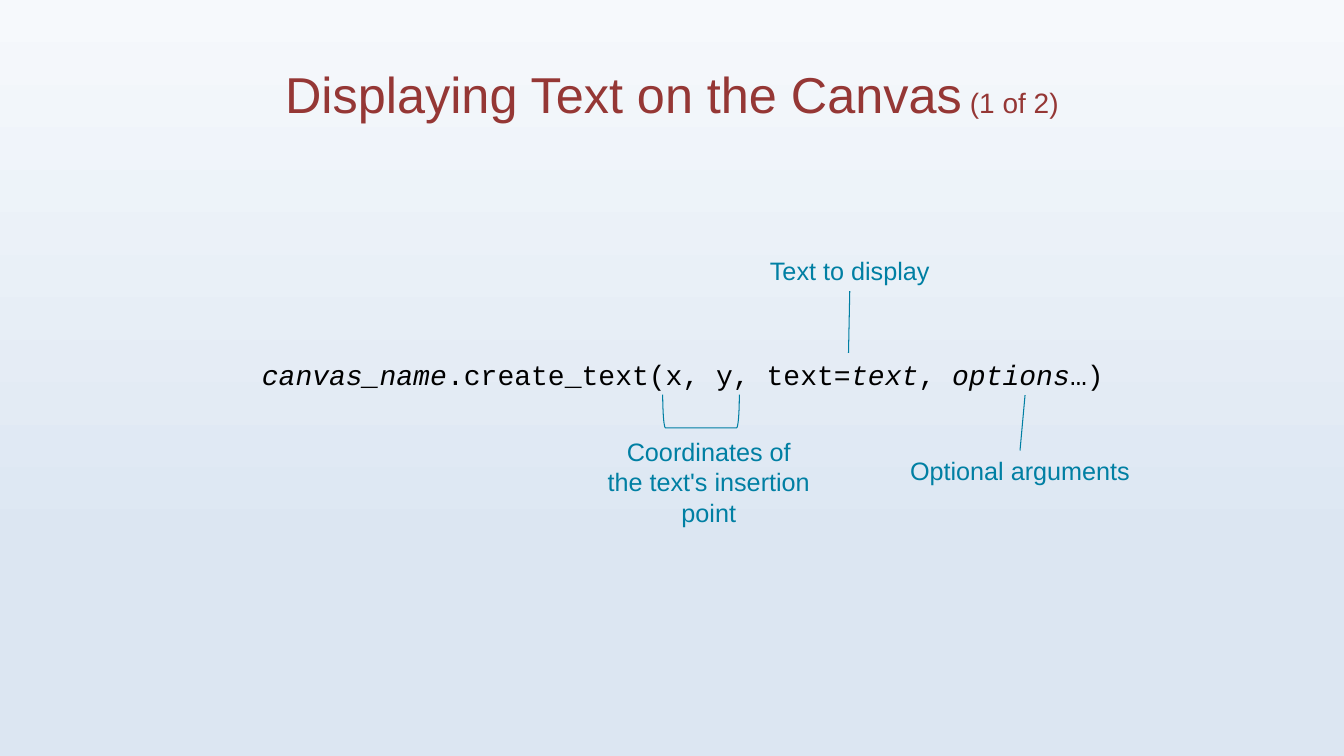
from dataclasses import dataclass

from pptx import Presentation
from pptx.dml.color import RGBColor as Color
from pptx.enum.shapes import MSO_CONNECTOR as Connector, MSO_SHAPE as Shape
from pptx.enum.text import MSO_ANCHOR as Anchor, PP_ALIGN as Align
from pptx.oxml.ns import qn
from pptx.util import Pt

# Content: runs are (text, size) or (text, italic); boxes are left, top, width, height
TITLE = [("Displaying Text on the Canvas", 36), (" (1 of 2)", 20)]
TITLE_BOX = (48, 21.6, 864, 90)
CODE = [
    ("canvas_name", True),
    (".create_text(x, y, text=", False),
    ("text", True),
    (", ", False),
    ("options", True),
    ("…)", False),
]
CODE_BOX = (180, 252, 642, 31.5)
# Each label: lines, box, joined side (0 top, 2 bottom), pointer end
LABELS = [
    (["Coordinates of", "the text's insertion", "point"], (426, 308.2, 160.6, 72.7), None, None),
    (["Text to display"], (542.2, 178.8, 129.6, 29.1), 2, (606.1, 252)),
    (["Optional arguments"], (642.2, 321.8, 172.8, 29.1), 0, (732.2, 282.2)),
]
BRACKET_BOX = (473.4, 281.9, 54.7, 23.8)


@dataclass(frozen=True)
class Theme:
    top: Color = Color.from_string("F6F9FC")
    bottom: Color = Color.from_string("DCE6F2")
    title: Color = Color.from_string("953735")
    code: Color = Color.from_string("000000")
    label: Color = Color.from_string("007FA3")
    sans: str = "Arial"
    mono: str = "Courier New"
    code_size: int = 20
    label_size: int = 18
    line_width: float = 0.75


theme = Theme()


def points(values):
    return [Pt(value) for value in values]


def style_font(paragraph, name, color, size=None):
    font = paragraph.font
    font.name = name
    font.color.rgb = color
    if size:
        font.size = Pt(size)


def style_line(shape):
    shape.line.color.rgb = theme.label
    shape.line.width = Pt(theme.line_width)


def add_label(slide, lines, box):
    label = slide.shapes.add_textbox(*points(box))
    frame = label.text_frame
    frame.word_wrap = False
    frame.text = "\n".join(lines)
    for paragraph in frame.paragraphs:
        paragraph.alignment = Align.CENTER
        style_font(paragraph, theme.sans, theme.label, theme.label_size)
    return label


def add_pointer(slide, label, side, end):
    pointer = slide.shapes.add_connector(Connector.STRAIGHT, 0, 0, *points(end))
    pointer.begin_connect(label, side)
    style_line(pointer)
    properties = pointer._element.spPr
    properties.append(properties.makeelement(qn("a:effectLst"), {}))


def add_bracket(slide, box):
    # The preset opens to the right, so a quarter turn makes it open upwards
    left, top, width, height = box
    shift = (width - height) / 2
    bracket = slide.shapes.add_shape(
        Shape.LEFT_BRACKET, *points((left + shift, top - shift, height, width)))
    bracket.rotation = 270
    bracket.adjustments[0] = 0.083
    bracket.shadow.inherit = False
    bracket.fill.background()
    style_line(bracket)


def main():
    presentation = Presentation()
    presentation.slide_width, presentation.slide_height = Pt(960), Pt(540)
    slide = presentation.slides.add_slide(presentation.slide_layouts[5])

    # Background
    fill = slide.background.fill
    fill.gradient()
    fill.gradient_angle = 270
    stops = zip(fill.gradient_stops, [(0, theme.top), (0.73, theme.bottom)])
    for stop, (position, color) in stops:
        stop.position = position
        stop.color.rgb = color

    # Title
    title = slide.shapes.title
    title.left, title.top, title.width, title.height = points(TITLE_BOX)
    title.text_frame.vertical_anchor = Anchor.MIDDLE
    paragraph = title.text_frame.paragraphs[0]
    paragraph.alignment = Align.CENTER
    style_font(paragraph, theme.sans, theme.title)
    for text, size in TITLE:
        run = paragraph.add_run()
        run.text = text
        run.font.size = Pt(size)

    # Code line
    code = slide.shapes.add_textbox(*points(CODE_BOX))
    code.text_frame.word_wrap = True
    paragraph = code.text_frame.paragraphs[0]
    style_font(paragraph, theme.mono, theme.code, theme.code_size)
    for text, italic in CODE:
        run = paragraph.add_run()
        run.text = text
        run.font.italic = italic

    # Callouts
    add_bracket(slide, BRACKET_BOX)
    for lines, box, side, end in LABELS:
        label = add_label(slide, lines, box)
        if end:
            add_pointer(slide, label, side, end)

    presentation.save("out.pptx")


if __name__ == "__main__":
    main()
